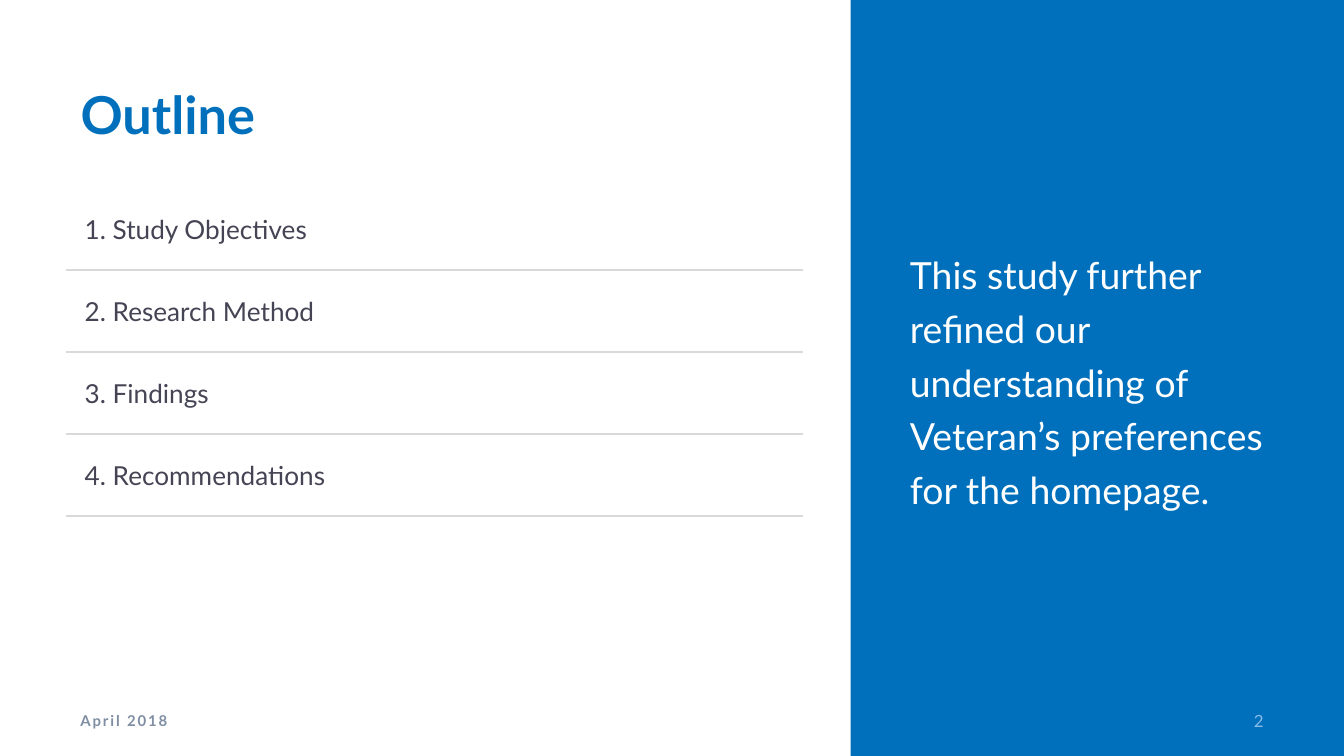
from dataclasses import dataclass

from lxml.etree import SubElement
from pptx import Presentation
from pptx.dml.color import RGBColor
from pptx.enum.shapes import MSO_SHAPE
from pptx.enum.text import MSO_ANCHOR, MSO_AUTO_SIZE, PP_ALIGN
from pptx.oxml.ns import qn
from pptx.util import Inches, Pt


@dataclass(frozen=True)
class Theme:
    font: str = "Lato"
    blue: str = "0070BC"
    white: str = "FFFFFF"
    ink: str = "454454"
    rule: str = "D9D9D9"
    pale: str = "89BDE8"
    grey: str = "7F8EA3"
    title: int = 28
    quote: int = 20
    item: int = 14
    page: int = 9
    date: int = 8


@dataclass(frozen=True)
class Box:
    left: float
    top: float
    width: float
    height: float

    def inches(self) -> tuple:
        return tuple(Inches(v) for v in (self.left, self.top, self.width, self.height))


@dataclass(frozen=True)
class Note:
    text: str
    box: Box
    size: int
    color: str
    bold: bool = False
    align: PP_ALIGN = PP_ALIGN.LEFT
    anchor: MSO_ANCHOR = MSO_ANCHOR.MIDDLE


THEME = Theme()
WIDTH = 10
HEIGHT = WIDTH * 9 / 16
ITEMS = ["Study Objectives", "Research Method", "Findings", "Recommendations"]
PANEL = Box(6.33, 0, WIDTH - 6.33, HEIGHT)
GRID = Box(0.5, 1.4, 5.46, 2.44)
COLS = (4.39, 1.08)

TITLE = Note("Outline", Box(0.5, 0.56, 5.46, 0.71), THEME.title, THEME.blue,
             bold=True, anchor=MSO_ANCHOR.TOP)
QUOTE = Note("This study further refined our understanding of Veteran’s "
             "preferences for the homepage.",
             Box(6.67, 0.56, 2.83, 4.5), THEME.quote, THEME.white)
PAGE = Note("2", Box(8.75, 5.21, 0.75, 0.3), THEME.page, THEME.pale,
            align=PP_ALIGN.RIGHT)
DATE = Note("April 2018", Box(0.5, 5.21, 2.25, 0.3), THEME.date, THEME.grey, bold=True)


def style(para, size: int, color: str, bold: bool = False) -> None:
    font = para.font
    font.name, font.size, font.bold = THEME.font, Pt(size), bold
    font.color.rgb = RGBColor.from_string(color)


def write(shape, note: Note):
    """Place a text shape and fill it with one formatted paragraph."""
    shape.left, shape.top, shape.width, shape.height = note.box.inches()
    frame = shape.text_frame
    frame.text = note.text
    frame.word_wrap = True
    frame.auto_size = MSO_AUTO_SIZE.NONE
    frame.vertical_anchor = note.anchor
    para = frame.paragraphs[0]
    para.alignment = note.align
    return para


def border(cell, top: str) -> None:
    props = cell._tc.get_or_add_tcPr()
    sides = {"L": THEME.white, "R": THEME.white, "T": top, "B": THEME.rule}
    for spot, (side, color) in enumerate(sides.items()):
        line = SubElement(props, qn(f"a:ln{side}"), w=str(Pt(1)))
        fill = SubElement(line, qn("a:solidFill"))
        SubElement(fill, qn("a:srgbClr"), val=color)
        props.insert(spot, line)  # borders come before the fill


def outline(slide) -> None:
    table = slide.shapes.add_table(len(ITEMS), len(COLS), *GRID.inches()).table
    table.first_row = table.horz_banding = False
    for col, width in zip(table.columns, COLS):
        col.width = Inches(width)
    for num, (row, item) in enumerate(zip(table.rows, ITEMS), 1):
        row.height = Inches(GRID.height / len(ITEMS))
        for cell in row.cells:
            cell.fill.background()
            border(cell, THEME.white if num == 1 else THEME.rule)
        cell = row.cells[0]
        cell.text = f"{num}. {item}"
        cell.vertical_anchor = MSO_ANCHOR.MIDDLE
        cell.margin_left = cell.margin_right = Inches(0.13)
        style(cell.text_frame.paragraphs[0], THEME.item, THEME.ink)


def main() -> None:
    deck = Presentation()
    deck.slide_width, deck.slide_height = Inches(WIDTH), Inches(HEIGHT)
    slide = deck.slides.add_slide(deck.slide_layouts[1])
    shapes = slide.shapes
    title, body = slide.placeholders

    # Blue side panel, sent behind the placeholders
    panel = shapes.add_shape(MSO_SHAPE.RECTANGLE, *PANEL.inches())
    panel.shadow.inherit = False
    panel.fill.solid()
    panel.fill.fore_color.rgb = RGBColor.from_string(THEME.blue)
    panel.line.fill.background()
    title.element.addprevious(panel.element)

    # Title and numbered outline
    para = write(title, TITLE)
    style(para, TITLE.size, TITLE.color, TITLE.bold)
    outline(slide)

    # Statement on the panel, without a bullet
    para = write(body, QUOTE)
    props = para._p.get_or_add_pPr()
    props.set("marL", "0")
    props.set("indent", "0")
    para.line_spacing, para.space_before, para.space_after = 1.2, Pt(0), Pt(6)
    SubElement(props, qn("a:buNone"))
    style(para, QUOTE.size, QUOTE.color)

    # Footer: page number and spaced-out date
    for note in (PAGE, DATE):
        para = write(shapes.add_textbox(*note.box.inches()), note)
        style(para, note.size, note.color, note.bold)
    para.runs[0].font._element.set("spc", "100")

    deck.save("out.pptx")


if __name__ == "__main__":
    main()
